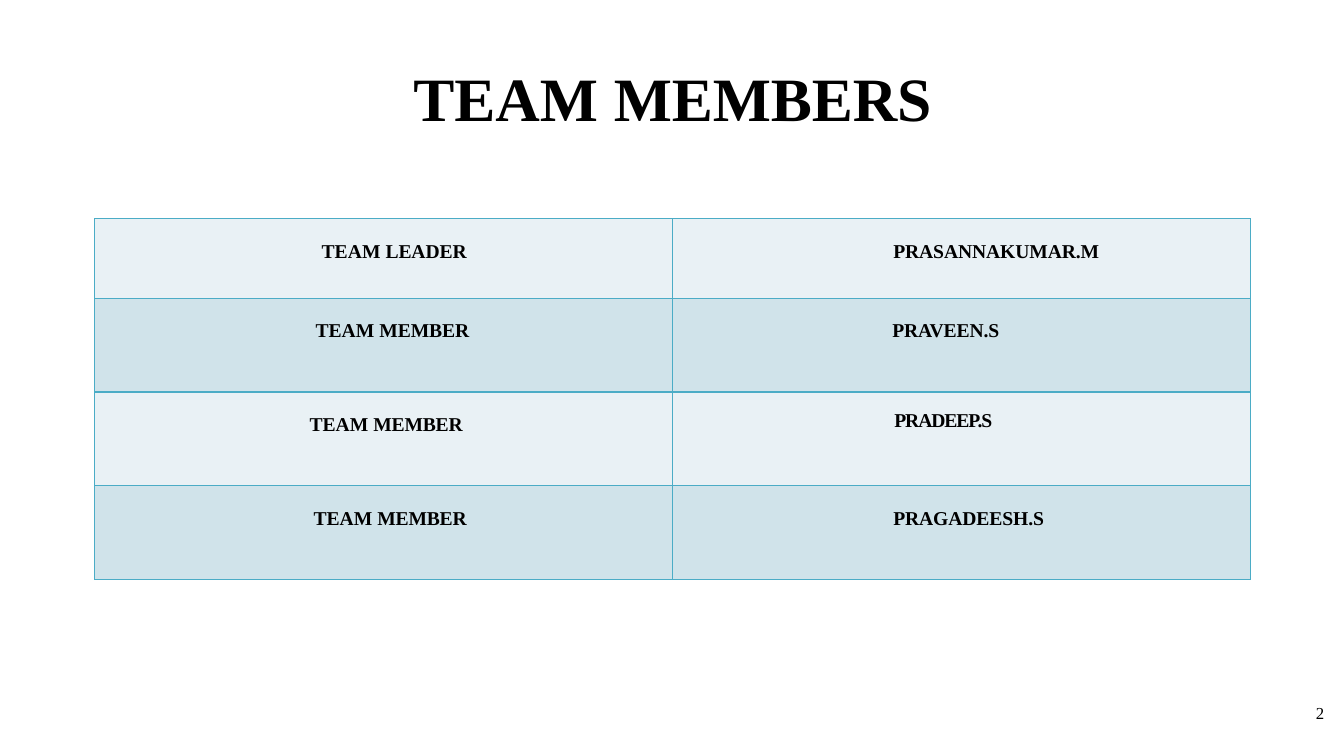
from lxml.etree import SubElement
from pptx import Presentation
from pptx.dml.color import RGBColor
from pptx.enum.text import MSO_ANCHOR, PP_ALIGN
from pptx.oxml.ns import qn
from pptx.util import Inches, Pt

COLORS = {
    "text": "000000",
    "light_row": "E9F1F5",
    "dark_row": "D0E3EA",
    "border": "4BACC6",
}
FONT = "Times New Roman"
ROW_HEIGHTS = [0.79, 0.93, 0.93, 0.93]
COLUMN_WIDTH = 5.73

# Each cell: runs of (text, letter spacing in points), left margin, top margin
TEAM = [
    [([("TEAM ", 0), ("LEADER", -0.1)], 2.25, 0.22),
     ([("PRASANNAKUMAR.M", -0.1)], 2.19, 0.22)],
    [([("TEAM ", 0), ("MEMBER", -0.1)], 2.19, 0.22),
     ([("PRAVEEN.S", -0.1)], 2.18, 0.22)],
    [([("TEAM ", 0), ("MEMBER", -0.2)], 2.13, 0.22),
     ([("PRADEEP.S", -0.8)], 2.2, 0.18)],
    [([("TEAM ", 0), ("MEMBER", -0.2)], 2.17, 0.22),
     ([("PRAGADEESH.S", -0.1)], 2.19, 0.22)],
]


def set_attributes(target, values):
    for name, value in values.items():
        setattr(target, name, value)


def margins(left=0, top=0):
    return {
        "margin_left": Inches(left),
        "margin_top": Inches(top),
        "margin_right": 0,
        "margin_bottom": 0,
    }


def write_runs(paragraph, runs, size, bold):
    paragraph.alignment = PP_ALIGN.LEFT
    for text, spacing in runs:
        run = paragraph.add_run()
        run.text = text
        set_attributes(run.font, {"name": FONT, "size": Pt(size), "bold": bold})
        run.font.color.rgb = RGBColor.from_string(COLORS["text"])
        run.font._element.set("spc", str(round(spacing * 100)))


def add_title(slide):
    title = slide.shapes.title
    set_attributes(title, {
        "left": Inches(4.09), "top": Inches(0.39),
        "width": Inches(5.17), "height": Inches(0.94),
    })
    frame = title.text_frame
    set_attributes(frame, {
        **margins(left=0.01), "word_wrap": False,
        "vertical_anchor": MSO_ANCHOR.BOTTOM,
    })
    write_runs(frame.paragraphs[0], [("TEAM ", 0), ("MEMBERS", -0.1)], 44, True)


def add_cell_borders(cell):
    properties = cell._tc.get_or_add_tcPr()
    for side in ("a:lnL", "a:lnR", "a:lnT", "a:lnB"):
        line = SubElement(properties, qn(side), w=str(Pt(1)))
        fill = SubElement(line, qn("a:solidFill"))
        SubElement(fill, qn("a:srgbClr"), val=COLORS["border"])


def fill_cell(cell, content, color):
    runs, left, top = content
    set_attributes(cell, {**margins(left, top), "vertical_anchor": MSO_ANCHOR.TOP})
    write_runs(cell.text_frame.paragraphs[0], runs, 14, True)
    # Borders come before the fill in the cell properties
    add_cell_borders(cell)
    cell.fill.solid()
    cell.fill.fore_color.rgb = RGBColor.from_string(COLORS[color])


def add_team_table(slide):
    table = slide.shapes.add_table(
        len(TEAM), 2, Inches(0.94), Inches(2.17),
        Inches(2 * COLUMN_WIDTH), Inches(sum(ROW_HEIGHTS)),
    ).table
    set_attributes(table, {"first_row": False, "horz_banding": False})
    for column in table.columns:
        column.width = Inches(COLUMN_WIDTH)
    for row_index, contents in enumerate(TEAM):
        table.rows[row_index].height = Inches(ROW_HEIGHTS[row_index])
        color = "dark_row" if row_index % 2 else "light_row"
        for column_index, content in enumerate(contents):
            fill_cell(table.cell(row_index, column_index), content, color)


def add_page_number(slide):
    box = slide.shapes.add_textbox(
        Inches(13.04), Inches(6.96), Inches(0.11), Inches(0.23))
    set_attributes(box.text_frame, {**margins(0.01, 0.01), "word_wrap": False})
    paragraph = box.text_frame.paragraphs[0]
    paragraph.space_before = Pt(1)
    write_runs(paragraph, [("2", -0.1)], 12, False)


def main():
    presentation = Presentation()
    set_attributes(presentation, {
        "slide_width": Inches(13.33), "slide_height": Inches(7.5),
    })
    # Title-only layout
    slide = presentation.slides.add_slide(presentation.slide_layouts[5])
    add_title(slide)
    add_team_table(slide)
    add_page_number(slide)
    presentation.save("out.pptx")


if __name__ == "__main__":
    main()
